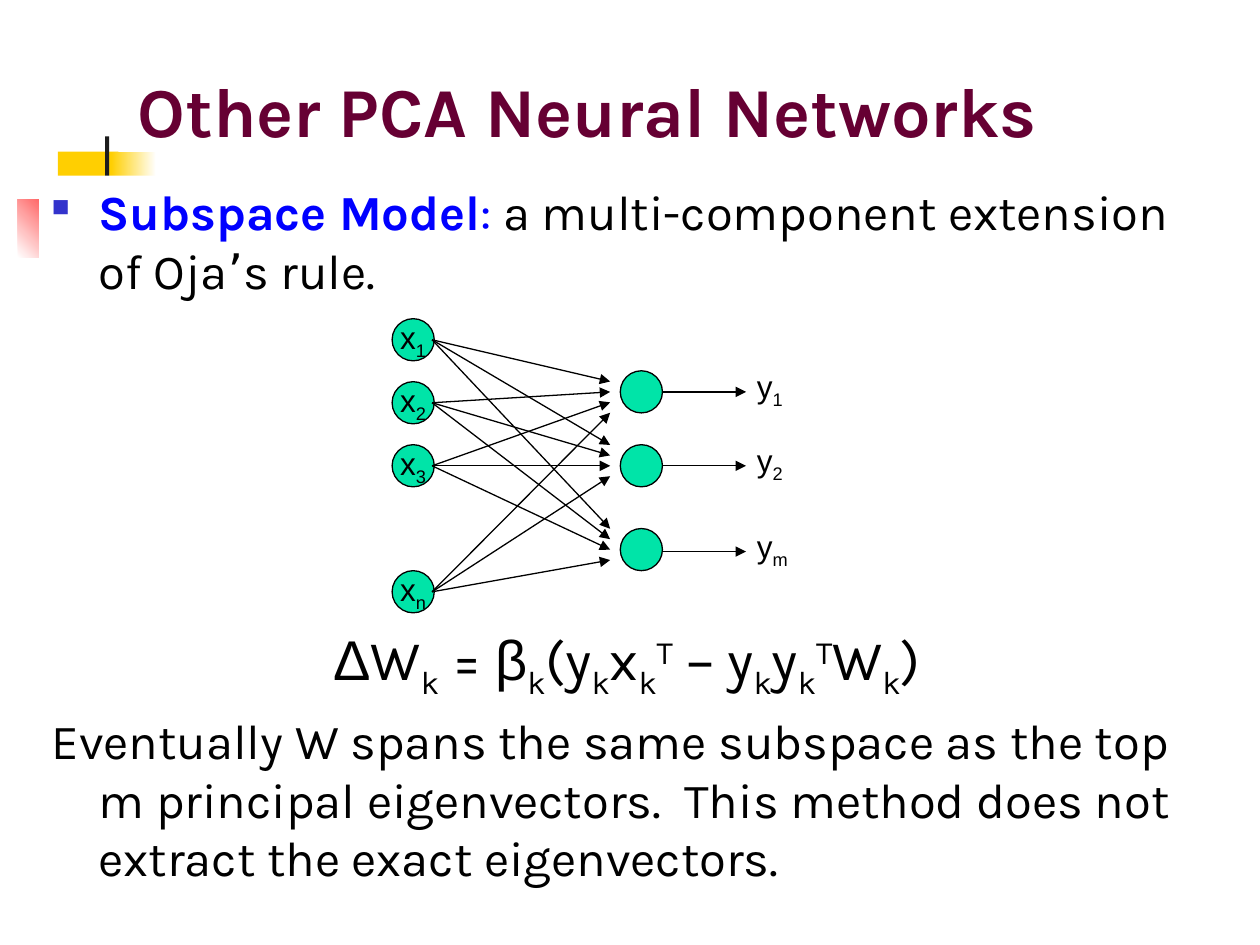
from dataclasses import dataclass
from lxml import etree
from pptx import Presentation, util as u
from pptx.dml.color import RGBColor
from pptx.enum import shapes, text
from pptx.oxml import ns


@dataclass(frozen=True)
class Theme:
    ink: str = "000000"
    head: str = "660033"
    term: str = "0000FF"
    mark: str = "3333CC"
    node: str = "00E4A8"
    gold: str = "FFCF01"
    red: str = "FF0000"
    bar: str = "1C1C1C"
    paper: str = "FFFFFF"
    font: str = "Karla"
    plain: str = "Arial"
    sign: str = "DejaVu Sans"
    title: int = 40
    math: int = 32
    body: int = 28
    label: int = 18


T = Theme()


def rgb(code):
    return RGBColor.from_string(code)


def child(parent, tag, **attrs):
    return etree.SubElement(parent, ns.qn(tag), attrs)


def write(para, words, font=T.font, size=T.body, color=T.ink, bold=False):
    """Add one run; a leading _ or ^ makes it a subscript or superscript."""
    base = {"_": "-25000", "^": "30000"}.get(words[0])
    run = para.add_run()
    run.text = words[1:] if base else words
    run.font.name, run.font.size, run.font.bold = font, u.Pt(size), bold
    run.font.color.rgb = rgb(color)
    if base:
        run._r.get_or_add_rPr().set("baseline", base)


class Deck:
    def __init__(self, theme, wide, high):
        self.theme = theme
        self.file = Presentation()
        self.file.slide_width, self.file.slide_height = u.Cm(wide), u.Cm(high)
        self.slide = self.file.slides.add_slide(self.file.slide_layouts[6])

    def shape(self, x, y, w, h, fill, kind="RECTANGLE", line=None, angle=0):
        item = self.slide.shapes.add_shape(
            getattr(shapes.MSO_SHAPE, kind), *map(u.Cm, (x, y, w, h)))
        item.shadow.inherit = False
        if isinstance(fill, tuple):
            item.fill.gradient()
            item.fill.gradient_angle = angle
            for stop, code in zip(item.fill.gradient_stops, fill):
                stop.color.rgb = rgb(code)
        else:
            item.fill.solid()
            item.fill.fore_color.rgb = rgb(fill)
        if line:
            item.line.color.rgb, item.line.width = rgb(line), u.Pt(0.75)
        else:
            item.line.fill.background()
        return item

    def box(self, x, y, w, h, wrap=True, low=False):
        item = self.slide.shapes.add_textbox(*map(u.Cm, (x, y, w, h)))
        item.text_frame.word_wrap = wrap
        if low:
            item.text_frame.vertical_anchor = text.MSO_ANCHOR.BOTTOM
        return item

    def disc(self, x, y, d=0.85):
        return self.shape(x - d / 2, y - d / 2, d, d, self.theme.node,
                          "OVAL", self.theme.ink)

    def arrow(self, x1, y1, x2, y2):
        item = self.slide.shapes.add_connector(
            shapes.MSO_CONNECTOR.STRAIGHT, *map(u.Cm, (x1, y1, x2, y2)))
        item.line.color.rgb, item.line.width = rgb(self.theme.ink), u.Pt(0.75)
        child(item.line._get_or_add_ln(), "a:tailEnd", type="triangle")
        child(item._element.spPr, "a:effectLst")

    def para(self, frame, first=False, gap=5, hang=0.95, center=False):
        para = frame.paragraphs[0] if first else frame.add_paragraph()
        para.space_before = u.Pt(gap)
        para.alignment = text.PP_ALIGN.CENTER if center else text.PP_ALIGN.LEFT
        props = para._p.get_or_add_pPr()
        props.set("marL", str(u.Cm(0.95)))
        props.set("indent", str(-u.Cm(hang)))
        return para

    def bullet(self, para):
        props = para._p.get_or_add_pPr()
        child(child(props, "a:buClr"), "a:srgbClr", val=self.theme.mark)
        child(props, "a:buSzPct", val="50000")
        child(props, "a:buChar", char="■")


deck = Deck(T, 25.4, 19.05)

# Corner ornament, partly covered by the body panel
deck.shape(1.17, 3.06, 1.22, 1.32, T.gold)
deck.shape(2.24, 3.06, 0.91, 1.32, (T.gold, T.paper))
deck.shape(0.36, 4.02, 1.55, 1.17, (T.paper, T.red), angle=45)
deck.shape(2.12, 2.75, 0.08, 2.92, T.bar)

# Title
title = deck.box(2.53, 0, 21.64, 3.18, low=True)
write(title.text_frame.paragraphs[0], "Other PCA Neural Networks",
      size=T.title, color=T.head, bold=True)

# Body
panel = deck.box(0.79, 3.54, 23.44, 14.1)
panel.fill.solid()
panel.fill.fore_color.rgb = rgb(T.paper)
body = panel.text_frame

intro = deck.para(body, first=True)
deck.bullet(intro)
write(intro, "Subspace Model", color=T.term, bold=True)
write(intro, ": ", color=T.term)
write(intro, "a multi-component extension of Oja")
write(intro, "’", font=T.sign)
write(intro, "s rule.")

# Learning rule, set below the space for the network
rule = deck.para(body, gap=186, hang=0.69, center=True)
fonts = {"Δ": T.plain, "β": T.plain, "–": T.sign}
for part in ("Δ", "W", "_k", " = ", "β", "_k", "(y", "_k", "x", "_k", "^T",
             " ", "–", " ", "y", "_k", "y", "_k", "^T", "W", "_k", ")"):
    write(rule, part, font=fonts.get(part, T.font), size=T.math)

write(deck.para(body), "Eventually W spans the same subspace as the top m "
      "principal eigenvectors.  This method does not extract the exact "
      "eigenvectors.")


# Network
def symbol(para, name, index):
    for part in (name, "_" + index):
        write(para, part, font=T.plain, size=T.label)


STEP = 0.21
inputs = [(index, 6.85 + 1.27 * row)
          for index, row in (("1", 0), ("2", 1), ("3", 2), ("n", 4))]
outputs = (("1", 7.9, 7.9, 1), ("2", 9.39, 9.39, 2), ("m", 11.08, 11.12, 2))

for index, y in inputs:
    frame = deck.disc(8.33, y).text_frame
    frame.word_wrap = False
    frame.vertical_anchor = text.MSO_ANCHOR.MIDDLE
    frame.paragraphs[0].alignment = text.PP_ALIGN.CENTER
    symbol(frame.paragraphs[0], "x", index)

for index, y, exit_y, middle in outputs:
    deck.disc(12.93, y)
    for order, (_, start) in enumerate(inputs):
        deck.arrow(8.71, start, 12.3, y + (order - middle) * STEP)
    deck.arrow(13.36, exit_y, 15.04, exit_y)
    label = deck.box(15.01, exit_y - 0.62, 1.3, 1.02, wrap=False)
    symbol(label.text_frame.paragraphs[0], "y", index)

deck.file.save("out.pptx")
